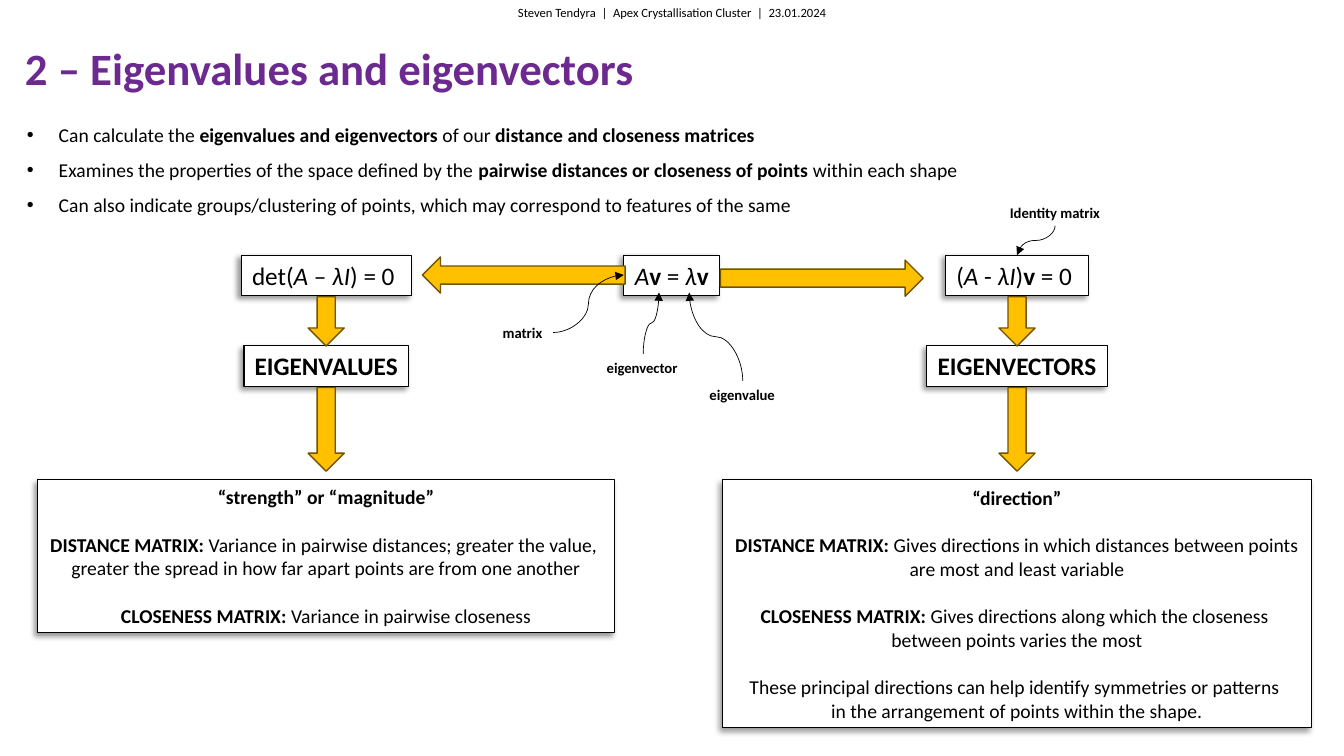
from lxml import etree
from pptx import Presentation
from pptx import util as u
from pptx.dml.color import RGBColor
from pptx.enum import shapes, text
from pptx.oxml.ns import qn

BLACK, WHITE, PURPLE, GOLD, BROWN = "000000", "FFFFFF", "6C2A91", "FFC000", "705400"
LEFT, CENTER = text.PP_ALIGN.LEFT, text.PP_ALIGN.CENTER


def rgb(value):
    return RGBColor.from_string(value)


def write(shape, paragraphs, size, align=LEFT, wrap=False, color=BLACK, gap=0):
    """Fill a shape with paragraphs of (words, style) spans; style holds b and/or i."""
    frame = shape.text_frame
    frame.word_wrap = wrap
    frame.auto_size = text.MSO_AUTO_SIZE.SHAPE_TO_FIT_TEXT
    for number, spans in enumerate(paragraphs):
        para = frame.add_paragraph() if number else frame.paragraphs[0]
        para.alignment = align
        if number and gap:
            para.space_before = u.Pt(gap)
        for words, style in spans:
            for index, line in enumerate(words.split("\n")):
                if index:
                    para.add_line_break()
                span = para.add_run()
                span.text = line
                span.font.name = "Calibri"
                span.font.size = u.Pt(size)
                span.font.bold = "b" in style
                span.font.italic = "i" in style
                span.font.color.rgb = rgb(color)


deck = Presentation()
deck.slide_width, deck.slide_height = u.Cm(33.87), u.Cm(19.05)
page = deck.slides.add_slide(deck.slide_layouts[6])

# Title, header and bullets
title = page.shapes.add_textbox(u.Cm(0.38), u.Cm(0.89), u.Cm(31.62), u.Cm(2.51))
write(title, [[("2 – Eigenvalues and eigenvectors", "b")]], 32, wrap=True, color=PURPLE)
title.text_frame.auto_size = text.MSO_AUTO_SIZE.NONE

header = page.shapes.add_textbox(0, 0, deck.slide_width, u.Cm(0.64))
write(header, [[("Steven Tendyra  |  Apex Crystallisation Cluster  |  23.01.2024", "")]],
      9, CENTER, wrap=True)

points = page.shapes.add_textbox(u.Cm(0.43), u.Cm(2.67), u.Cm(32.49), u.Cm(3.76))
write(points, [
    [("Can calculate the ", ""), ("eigenvalues and eigenvectors ", "b"),
     ("of our ", ""), ("distance and closeness matrices", "b")],
    [("Examines the properties of the space defined by the ", ""),
     ("pairwise distances or closeness of points ", "b"), ("within each shape", "")],
    [("Can also indicate groups/clustering of points, which may correspond "
      "to features of the same", "")],
], 14, wrap=True)
for para in points.text_frame.paragraphs:
    para.line_spacing = 1.5
    properties = para._p.get_or_add_pPr()
    properties.set("marL", str(u.Cm(0.8)))
    properties.set("indent", str(-u.Cm(0.8)))
    etree.SubElement(properties, qn("a:buFont"), typeface="Arial")
    etree.SubElement(properties, qn("a:buChar"), char="•")

# Shadowed boxes: centre x, top, width, height, text size, paragraphs
left_column, middle, right_column = 8.22, 16.93, 25.63
formula_top, name_top, meaning_top = 6.43, 8.71, 12.09
boxes = [
    (left_column, name_top, 4.14, 1.02, 18, [[("EIGENVALUES", "b")]]),
    (right_column, name_top, 4.55, 1.02, 18, [[("EIGENVECTORS", "b")]]),
    (left_column, meaning_top, 14.55, 3.84, 14, [
        [("“strength” or “magnitude”", "b")],
        [("DISTANCE MATRIX: ", "b"),
         ("Variance in pairwise distances; greater the value, \n"
          "greater the spread in how far apart points are from one another", "")],
        [("CLOSENESS MATRIX: ", "b"), ("Variance in pairwise closeness", "")],
    ]),
    (right_column, meaning_top, 14.83, 6.25, 14, [
        [("“direction”", "b")],
        [("DISTANCE MATRIX: ", "b"),
         ("Gives directions in which distances between points\n"
          "are most and least variable", "")],
        [("CLOSENESS MATRIX: ", "b"),
         ("Gives directions along which the closeness \n"
          "between points varies the most", "")],
        [("These principal directions can help identify symmetries or patterns \n"
          "in the arrangement of points within the shape.", "")],
    ]),
    (middle, formula_top, 2.41, 1.02, 18,
     [[("A", "i"), ("v ", "b"), ("= ", ""), ("λ", "i"), ("v", "b")]]),
    (left_column, formula_top, 4.29, 1.02, 18,
     [[("det(", ""), ("A", "i"), (" – ", ""), ("λI", "i"), (") = 0 ", "")]]),
    (right_column, formula_top, 3.61, 1.02, 18,
     [[("(", ""), ("A", "i"), (" - ", ""), ("λI", "i"), (")", ""), ("v", "b"),
       (" = 0 ", "")]]),
]
for center, top, width, height, size, paragraphs in boxes:
    box = page.shapes.add_shape(shapes.MSO_SHAPE.RECTANGLE, u.Cm(center - width / 2),
                                u.Cm(top), u.Cm(width), u.Cm(height))
    box.fill.solid()
    box.fill.fore_color.rgb = rgb(WHITE)
    box.line.color.rgb = rgb(BLACK)
    box.line.width = u.Pt(0.75)
    box.shadow.inherit = False
    effects = box.element.spPr.find(qn("a:effectLst"))
    shadow = etree.SubElement(effects, qn("a:outerShdw"), blurRad=str(u.Pt(4)),
                              dist=str(u.Pt(3)), dir=str(135 * 60000),
                              algn="tr", rotWithShape="0")
    tint = etree.SubElement(shadow, qn("a:srgbClr"), val=BLACK)
    etree.SubElement(tint, qn("a:alpha"), val="40000")
    write(box, paragraphs, size, CENTER, gap=17.1)

# Block arrows: centre x, centre y, length, rotation
arrow_width = 0.91
arrows = [(13.2, 6.93, 5.11, 180), (20.71, 7.01, 5.11, 0)]
for column in (left_column, right_column):
    arrows += [(column, 8.1, 1.24, 90), (column, 10.82, 2.11, 90)]
for x, y, length, rotation in arrows:
    arrow = page.shapes.add_shape(shapes.MSO_SHAPE.RIGHT_ARROW, u.Cm(x - length / 2),
                                  u.Cm(y - arrow_width / 2), u.Cm(length), u.Cm(arrow_width))
    arrow.rotation = rotation
    arrow.shadow.inherit = False
    arrow.fill.solid()
    arrow.fill.fore_color.rgb = rgb(GOLD)
    arrow.line.color.rgb = rgb(BROWN)
    arrow.line.width = u.Pt(1)

# Labels with curved pointers: words, left, top, width, pointer start and end, turned
labels = [
    ("Identity matrix", 25.2, 5.0, 2.82, (26.59, 5.69), (25.63, 6.43), True),
    ("eigenvalue", 17.63, 9.6, 2.21, (18.72, 9.6), (17.37, 7.37), True),
    ("eigenvector", 15.04, 8.92, 2.34, (16.21, 8.92), (16.61, 7.37), True),
    ("matrix", 12.42, 8.03, 1.52, (13.94, 8.38), (15.72, 6.93), False),
]
for words, left, top, width, start, end, turned in labels:
    label = page.shapes.add_textbox(u.Cm(left), u.Cm(top), u.Cm(width), u.Cm(0.71))
    write(label, [[(words, "b")]], 10.5)

    # A curve that leaves vertically is laid out flat, then turned by 90 degrees
    x, y = (start[0] + end[0]) / 2, (start[1] + end[1]) / 2
    across, down = end[0] - start[0], end[1] - start[1]
    if turned:
        across, down = down, -across
    pointer = page.shapes.add_connector(
        shapes.MSO_CONNECTOR.CURVE, u.Cm(x - across / 2), u.Cm(y - down / 2),
        u.Cm(x + across / 2), u.Cm(y + down / 2))
    if turned:
        pointer.element.spPr.xfrm.set("rot", str(90 * 60000))
    pointer.line.color.rgb = rgb(BLACK)
    pointer.line.width = u.Pt(0.5)
    etree.SubElement(pointer.line._get_or_add_ln(), qn("a:tailEnd"), type="triangle")
    etree.SubElement(pointer.element.spPr, qn("a:effectLst"))

deck.save("out.pptx")
